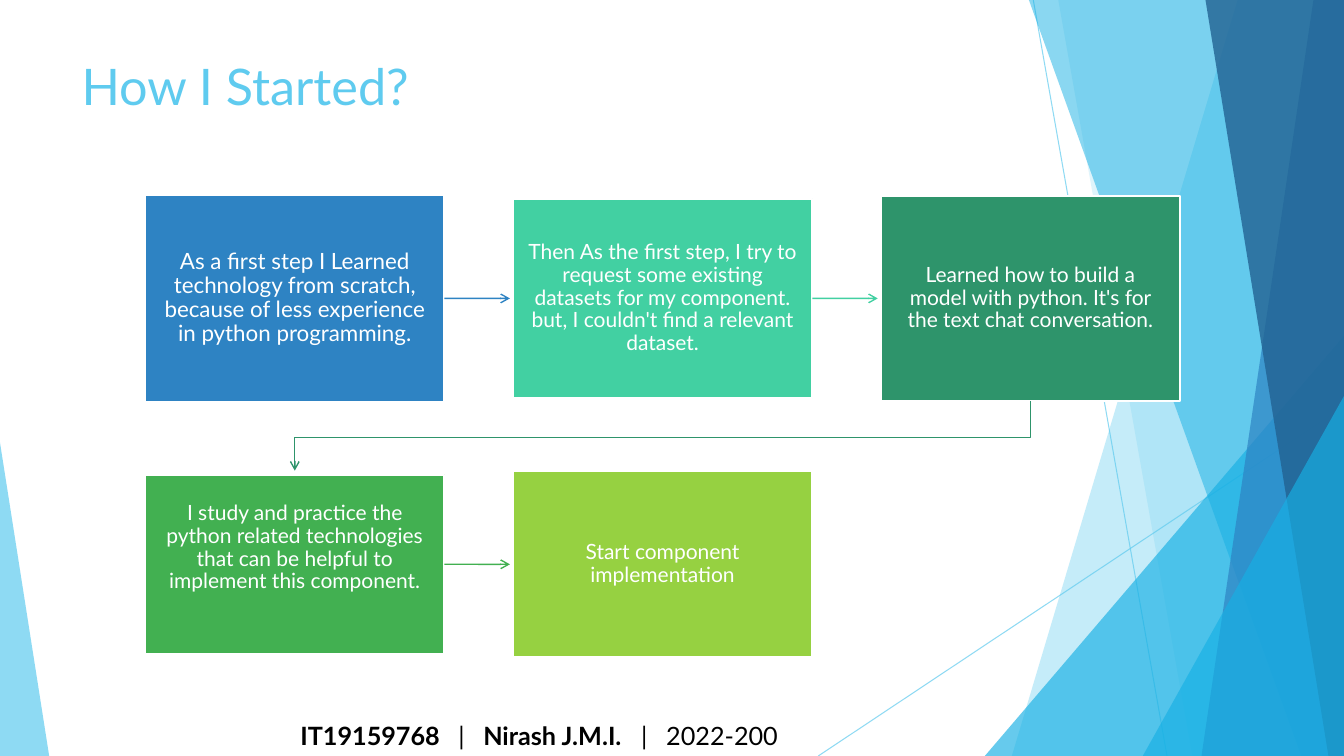
import pptx
import pptx.dml.color
import pptx.enum.shapes
import pptx.enum.text
import pptx.oxml
import pptx.oxml.ns
import pptx.util

Cm = pptx.util.Cm
Pt = pptx.util.Pt
Shapes = pptx.enum.shapes.MSO_SHAPE
Align = pptx.enum.text.PP_ALIGN
Anchor = pptx.enum.text.MSO_ANCHOR

WIDTH, HEIGHT = 33.87, 19.05
SKY, AZURE, BLUE, NAVY = "5FCBEF", "17B0E4", "2E83C3", "226292"
WHITE, BLACK = "FFFFFF", "000000"


def color(code):
    return pptx.dml.color.RGBColor.from_string(code)


def add_xml(parent, tag, **attributes):
    element = pptx.oxml.parse_xml(f'<a:{tag} {pptx.oxml.ns.nsdecls("a")}/>')
    for name, value in attributes.items():
        element.set(name, str(value))
    parent.append(element)
    return element


class SlideBuilder:
    font = "Lato"

    def __init__(self, deck):
        self.page = deck.slides.add_slide(deck.slide_layouts[5])
        self.shapes = self.page.shapes

    def paint(self, fill, code, opacity=100):
        fill.solid()
        fill.fore_color.rgb = color(code)
        if opacity < 100:
            node = fill._xPr.find(".//" + pptx.oxml.ns.qn("a:srgbClr"))
            add_xml(node, "alpha", val=opacity * 1000)

    def stroke(self, line, code, width, opacity=100, arrow=False):
        line.width = Pt(width)
        self.paint(line.fill, code, opacity)
        if arrow:
            add_xml(line._get_or_add_ln(), "tailEnd", type="arrow")

    def add_span(self, para, text, size, code, bold=False):
        span = para.add_run()
        span.text = text
        span.font.name = self.font
        span.font.size = Pt(size)
        span.font.bold = bold
        span.font.color.rgb = color(code)

    def title(self, text, left, top, width, height):
        box = self.shapes.title
        box.left, box.top, box.width, box.height = map(Cm, (left, top, width, height))
        frame = box.text_frame
        frame.auto_size = pptx.enum.text.MSO_AUTO_SIZE.NONE
        frame.vertical_anchor = Anchor.TOP
        frame.paragraphs[0].alignment = Align.LEFT
        self.add_span(frame.paragraphs[0], text, 36, SKY)

    def line(self, start, end, code, width, opacity=100, arrow=False, source=None):
        line = self.shapes.add_connector(
            pptx.enum.shapes.MSO_CONNECTOR.STRAIGHT, *map(Cm, (*start, *end)))
        if source is not None:
            line.begin_connect(source, 3)
        self.stroke(line.line, code, width, opacity, arrow)
        add_xml(line._element.spPr, "effectLst")

    def outline(self, points, close):
        points = [(Cm(x), Cm(y)) for x, y in points]
        pen = self.shapes.build_freeform(*points[0])
        pen.add_line_segments(points[1:], close=close)
        shape = pen.convert_to_shape()
        shape.shadow.inherit = False
        return shape

    def facet(self, top_x, bottom_x, code, opacity):
        corners = [(top_x, 0), (WIDTH, 0), (WIDTH, HEIGHT), (bottom_x, HEIGHT)]
        shape = self.outline(corners, True)
        self.paint(shape.fill, code, opacity)
        shape.line.fill.background()

    def triangle(self, left, top, width, apex, code, opacity):
        shape = self.shapes.add_shape(
            Shapes.ISOSCELES_TRIANGLE, *map(Cm, (left, top, width, HEIGHT - top)))
        shape.adjustments[0] = apex
        shape.shadow.inherit = False
        self.paint(shape.fill, code, opacity)
        shape.line.fill.background()

    def bent_arrow(self, points, code):
        shape = self.outline(points, False)
        shape.fill.background()
        self.stroke(shape.line, code, 1, arrow=True)

    def step(self, left, top, width, height, code, text, size, bottom_inset):
        box = self.shapes.add_shape(Shapes.RECTANGLE, *map(Cm, (left, top, width, height)))
        box.shadow.inherit = False
        self.paint(box.fill, code)
        self.stroke(box.line, WHITE, 1.5)
        frame = box.text_frame
        frame.word_wrap = True
        frame.vertical_anchor = Anchor.MIDDLE
        frame.margin_left = frame.margin_right = frame.margin_top = Cm(0.38)
        frame.margin_bottom = Cm(bottom_inset)
        para = frame.paragraphs[0]
        para.alignment = Align.CENTER
        para.line_spacing = 0.9
        self.add_span(para, text, size, WHITE)
        return box

    def footer(self, left, top, width, height, spans, tabs):
        box = self.shapes.add_textbox(*map(Cm, (left, top, width, height)))
        frame = box.text_frame
        frame.word_wrap = True
        frame.vertical_anchor = Anchor.MIDDLE
        para = frame.paragraphs[0]
        stops = add_xml(para._p.get_or_add_pPr(), "tabLst")
        for position in tabs:
            add_xml(stops, "tab", pos=int(Cm(position)), algn="l")
        for text, bold in spans:
            self.add_span(para, text, 18, BLACK, bold)


def main():
    deck = pptx.Presentation()
    deck.slide_width, deck.slide_height = Cm(WIDTH), Cm(HEIGHT)
    slide = SlideBuilder(deck)

    # Faceted backdrop
    slide.line((26.04, 0), (29.41, HEIGHT), SKY, 0.75, 70)
    slide.line((WIDTH, 10.24), (20.62, HEIGHT), SKY, 0.75, 70)
    slide.facet(31.19, 25.5, SKY, 36)
    slide.facet(26.67, 30.05, SKY, 20)
    slide.triangle(24.82, 8.46, 9.05, 1, AZURE, 66)
    slide.facet(25.93, 32.79, AZURE, 50)
    slide.facet(33.1, 30.28, BLUE, 70)
    slide.facet(30.38, 33.48, NAVY, 80)
    slide.triangle(28.8, 9.98, 5.07, 1, AZURE, 66)
    slide.triangle(0, 11.15, 1.24, 0, SKY, 70)

    slide.title("How I Started?", 1.8, 1.27, 26.14, 3.89)

    # Steps, three to a row: height, colour, size, bottom inset, text
    steps = [
        (5.21, BLUE, 16, 0.38, "As a first step I Learned technology from scratch, "
         "because of less experience in python programming."),
        (5.03, "42D0A2", 15, 0.38, "Then As the first step, I try to request some existing "
         "datasets for my component. but, I couldn't find a relevant dataset."),
        (5.16, "2E946B", 15, 0.38, "Learned how to build a model with python. "
         "It's for the text chat conversation."),
        (4.52, "42B051", 15, 1.2, "I study and practice the python related technologies "
         "that can be helpful to implement this component."),
        (4.7, "96D141", 15, 0.38, "Start component implementation"),
    ]
    first_left, pitch, box_width, columns = 3.66, 9.27, 7.54, 3
    row_middles = (7.52, 14.22)
    for index, (height, code, size, inset, text) in enumerate(steps):
        row, column = divmod(index, columns)
        left, middle = first_left + column * pitch, row_middles[row]
        box = slide.step(left, middle - height / 2, box_width, height,
                         code, text, size, inset)
        if index == len(steps) - 1:
            continue
        # Arrow to the next step
        if column < columns - 1:
            slide.line((left + box_width, middle), (left + pitch - 0.08, middle),
                       code, 1, arrow=True, source=box)
        else:
            start_x, end_x = left + box_width / 2, first_left + box_width / 2
            slide.bent_arrow([(start_x, middle + height / 2), (start_x, 11.02),
                              (end_x, 11.02), (end_x, 11.86)], code)

    # Footer
    slide.footer(7.32, 18.03, 18.92, 1.02,
                 [("IT19159768", True), ("\t|\t", False),
                  ("Nirash J.M.I.", True), ("\t|\t2022-200", False)],
                 (3.98, 4.61, 8.59, 9.22))
    deck.save("out.pptx")


if __name__ == "__main__":
    main()
